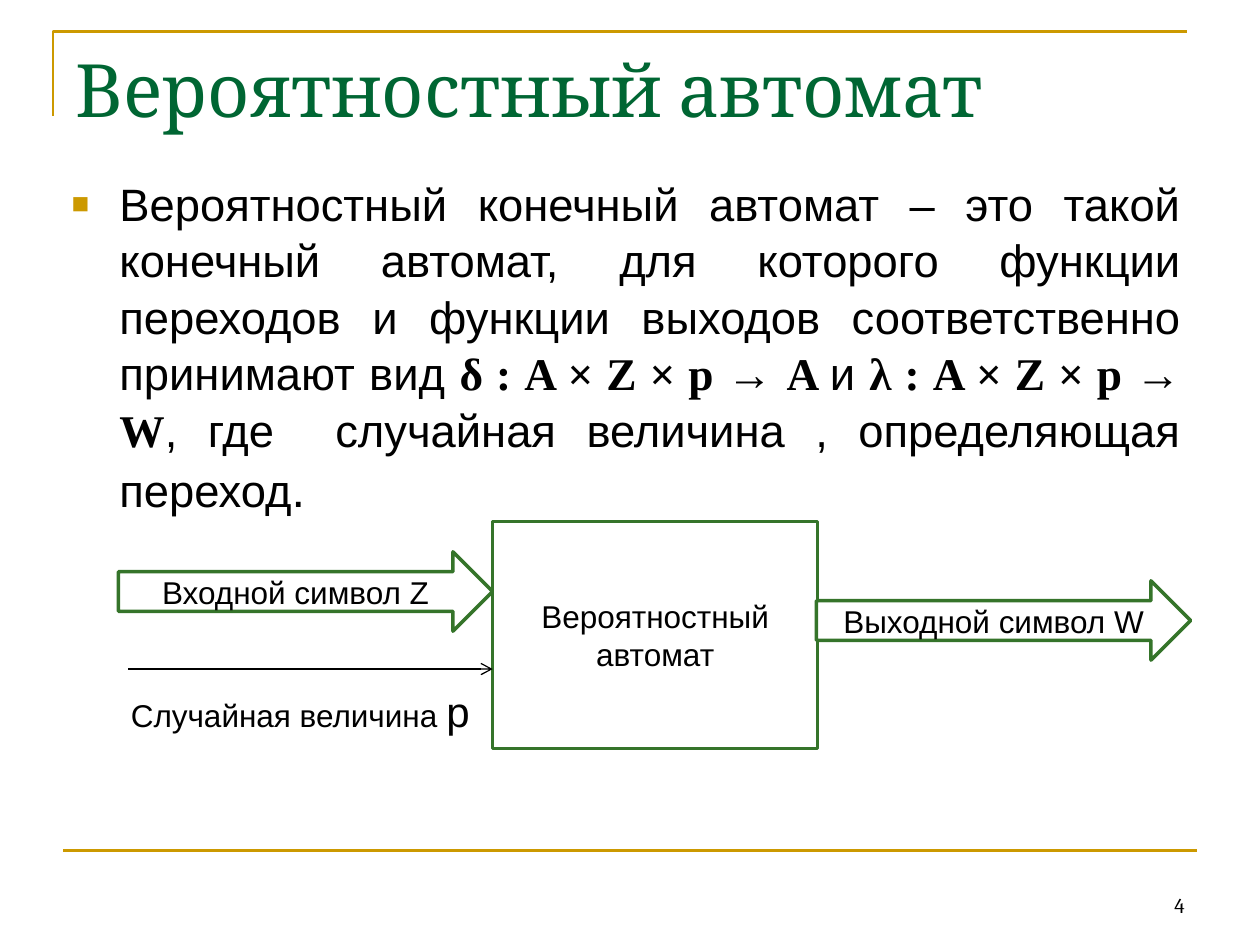
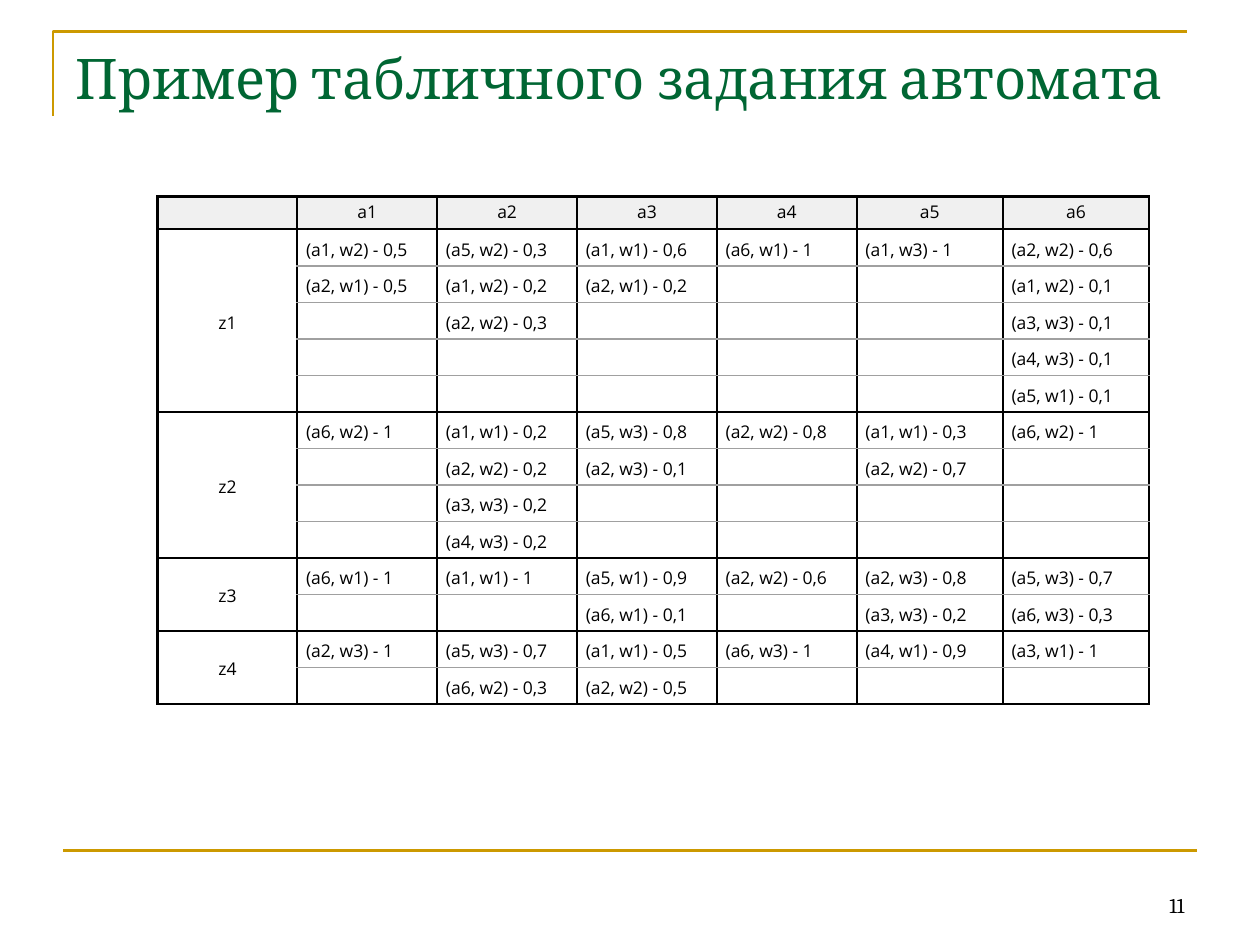
import itertools

import lxml.etree
import pptx
import pptx.dml.color
import pptx.enum.shapes
import pptx.enum.text
import pptx.oxml.ns
import pptx.util

Inches, Pt = pptx.util.Inches, pptx.util.Pt
ALIGN = pptx.enum.text.PP_ALIGN
ANCHOR = pptx.enum.text.MSO_ANCHOR
SHAPE = pptx.enum.shapes.MSO_SHAPE

COLORS = {
    "gold": "CC9900",
    "title": "006633",
    "text": "000000",
    "white": "FFFFFF",
    "box": "35742A",
    "header": "F0F0F0",
    "grid": "A0A0A0",
}
HEAD_FONT, BODY_FONT, MATH_FONT, TABLE_FONT = (
    "Cambria", "Arial", "Times New Roman", "Open Sans")


def rgb(name):
    return pptx.dml.color.RGBColor.from_string(COLORS[name])


def sub(parent, tag, **attrs):
    return lxml.etree.SubElement(parent, pptx.oxml.ns.qn(tag), attrs)


class Deck:
    """Style of the presentation and the slide being filled."""

    def __init__(self):
        self.prs = pptx.Presentation()
        self.prs.slide_width, self.prs.slide_height = Inches(10), Inches(7.5)
        self.s = None

    def new_slide(self, title, size, number):
        self.s = self.prs.slides.add_slide(self.prs.slide_layouts[6])
        # Frame: corner at the top left, rule at the bottom
        fb = self.s.shapes.build_freeform(Inches(0.42), Inches(0.92))
        fb.add_line_segments([(Inches(0.42), Inches(0.25)),
                              (Inches(9.42), Inches(0.25))], close=False)
        sp = fb.convert_to_shape()
        sp.shadow.inherit = False
        sp.fill.background()
        self.outline(sp, "gold", 1.5)
        self.line(0.5, 6.75, 9.5, 6.75, "gold", 1.5)
        # Title and slide number
        self.text(0.5, 0.3, 9, 0.87, [(title, HEAD_FONT, size, False)],
                  color="title")
        self.text(7.17, 6.83, 2.33, 0.5, [(number, HEAD_FONT, 12, False)],
                  align=ALIGN.RIGHT, anchor=ANCHOR.BOTTOM)

    def outline(self, sp, color, width):
        sp.line.color.rgb = rgb(color)
        sp.line.width = Pt(width)

    def style(self, r, font, size, bold=False, color="text"):
        r.font.name, r.font.size, r.font.bold = font, Pt(size), bold
        r.font.color.rgb = rgb(color)

    def line(self, x1, y1, x2, y2, color, width, arrow=False):
        sp = self.s.shapes.add_connector(
            pptx.enum.shapes.MSO_CONNECTOR.STRAIGHT,
            Inches(x1), Inches(y1), Inches(x2), Inches(y2))
        self.outline(sp, color, width)
        spPr = sp._element.spPr
        if arrow:
            sub(spPr.find(pptx.oxml.ns.qn("a:ln")), "a:tailEnd", type="arrow")
        sub(spPr, "a:effectLst")

    def text(self, x, y, w, h, runs, align=ALIGN.LEFT, anchor=ANCHOR.TOP,
             color="text"):
        """One paragraph made of (text, font, size, bold) runs."""
        sp = self.s.shapes.add_textbox(Inches(x), Inches(y),
                                       Inches(w), Inches(h))
        tf = sp.text_frame
        tf.word_wrap, tf.vertical_anchor = True, anchor
        p = tf.paragraphs[0]
        p.alignment = align
        for text, font, size, bold in runs:
            r = p.add_run()
            r.text = text
            self.style(r, font, size, bold, color)
        return p

    def bullet(self, x, y, w, h, runs):
        p = self.text(x, y, w, h, runs, align=ALIGN.JUSTIFY)
        p.line_spacing = 1.04
        pPr = p._p.get_or_add_pPr()
        pPr.set("marL", str(Inches(0.38)))
        pPr.set("indent", str(-Inches(0.38)))
        sub(sub(pPr, "a:buClr"), "a:srgbClr", val=COLORS["gold"])
        sub(pPr, "a:buSzPct", val="65000")
        sub(pPr, "a:buFont", typeface=BODY_FONT)
        sub(pPr, "a:buChar", char="■")

    def block(self, kind, x, y, w, h, text):
        sp = self.s.shapes.add_shape(kind, Inches(x), Inches(y),
                                     Inches(w), Inches(h))
        sp.shadow.inherit = False
        sp.fill.solid()
        sp.fill.fore_color.rgb = rgb("white")
        self.outline(sp, "box", 2)
        tf = sp.text_frame
        tf.word_wrap, tf.vertical_anchor = True, ANCHOR.MIDDLE
        tf.text = text
        for p in tf.paragraphs:
            p.alignment = ALIGN.CENTER
            self.style(p.runs[0], BODY_FONT, 18)

    def cell(self, cell, text="", align=ALIGN.LEFT, anchor=ANCHOR.MIDDLE,
             fill=None, top="text", bottom="text"):
        cell.margin_left = cell.margin_right = Inches(0.07)
        cell.margin_top = cell.margin_bottom = 0
        cell.vertical_anchor = anchor
        p = cell.text_frame.paragraphs[0]
        p.alignment, p.line_spacing = align, 1.15
        if text:
            p.text = text
            self.style(p.runs[0], TABLE_FONT, 10)
        else:
            sub(p._p, "a:endParaRPr", sz="1000")
        # Borders come before the fill
        tcPr = cell._tc.get_or_add_tcPr()
        for side, color in zip("LRTB", ("text", "text", top, bottom)):
            width = 1 if color == "grid" else 1.5
            ln = sub(tcPr, "a:ln" + side, w=str(Pt(width)))
            sub(sub(ln, "a:solidFill"), "a:srgbClr", val=COLORS[color])
        if fill:
            cell.fill.solid()
            cell.fill.fore_color.rgb = rgb(fill)
        else:
            cell.fill.background()

    def transition_table(self, x, y, widths, header, groups):
        """Groups map an input symbol to one list of entries per state."""
        heights = [max(map(len, cols)) for cols in groups.values()]
        rows = 1 + sum(heights)
        tbl = self.s.shapes.add_table(
            rows, len(widths), Inches(x), Inches(y),
            Inches(sum(widths)), Inches(0.26 + 0.29 * (rows - 1))).table
        for col, width in zip(tbl.columns, widths):
            col.width = Inches(width)
        for i, row in enumerate(tbl.rows):
            row.height = Inches(0.29 if i else 0.26)
        for j, name in enumerate(header):
            self.cell(tbl.cell(0, j), name, ALIGN.CENTER, ANCHOR.TOP, "header")
        first = 1
        for (symbol, cols), height in zip(groups.items(), heights):
            last = first + height - 1
            tbl.cell(first, 0).merge(tbl.cell(last, 0))
            for i in range(first, last + 1):
                self.cell(tbl.cell(i, 0), symbol if i == first else "",
                          ALIGN.CENTER)
            for j, entries in enumerate(cols, 1):
                padded = itertools.chain(entries, itertools.repeat(""))
                for i, entry in zip(range(first, last + 1), padded):
                    self.cell(tbl.cell(i, j), entry,
                              top="text" if i == first else "grid",
                              bottom="text" if i == last else "grid")
            first = last + 1


def entries(line):
    """'1 2 0,5; ...' (state, output, probability) to '(a1, w2) - 0,5'."""
    return ["(a{}, w{}) - {}".format(*item.split())
            for item in line.split(";")]


deck = Deck()

# Slide: definition and block diagram
deck.new_slide("Вероятностный автомат", 42, "4")
SIZE = 25.9
deck.bullet(0.47, 1.33, 9, 2.27, [
    ("Вероятностный конечный автомат – это такой конечный автомат, "
     "для которого функции переходов и функции выходов соответственно "
     "принимают вид ", BODY_FONT, SIZE, False),
    ("δ : A × Z × p ", MATH_FONT, SIZE, True),
    ("→ ", BODY_FONT, SIZE, True),
    ("A ", MATH_FONT, SIZE, True),
    ("и ", BODY_FONT, SIZE, False),
    ("λ : A × Z × p ", MATH_FONT, SIZE, True),
    ("→", BODY_FONT, SIZE, True),
    (" W", MATH_FONT, SIZE, True),
    (", где  случайная величина , определяющая переход",
     BODY_FONT, SIZE, False),
    (".", BODY_FONT, 27.8, False),
])
deck.block(SHAPE.RECTANGLE, 3.91, 4.14, 2.58, 1.8, "Вероятностный\nавтомат")
deck.block(SHAPE.RIGHT_ARROW, 0.94, 4.38, 2.97, 0.63, "Входной символ Z")
deck.block(SHAPE.RIGHT_ARROW, 6.48, 4.61, 2.97, 0.63, "Выходной символ W")
deck.line(1.02, 5.31, 3.91, 5.31, "text", 0.75, arrow=True)
deck.text(0.94, 5.39, 2.94, 0.5, [
    ("Случайная величина ", BODY_FONT, 18, False),
    ("p", BODY_FONT, 24, False)])

# Slide: transition table
deck.new_slide("Пример табличного задания автомата", 32, "11")
transitions = {
    "z1": ["1 2 0,5; 2 1 0,5", "5 2 0,3; 1 2 0,2; 2 2 0,3",
           "1 1 0,6; 2 1 0,2", "6 1 1", "1 3 1",
           "2 2 0,6; 1 2 0,1; 3 3 0,1; 4 3 0,1; 5 1 0,1"],
    "z2": ["6 2 1", "1 1 0,2; 2 2 0,2; 3 3 0,2; 4 3 0,2",
           "5 3 0,8; 2 3 0,1", "2 2 0,8", "1 1 0,3; 2 2 0,7", "6 2 1"],
    "z3": ["6 1 1", "1 1 1", "5 1 0,9; 6 1 0,1", "2 2 0,6",
           "2 3 0,8; 3 3 0,2", "5 3 0,7; 6 3 0,3"],
    "z4": ["2 3 1", "5 3 0,7; 6 2 0,3", "1 1 0,5; 2 2 0,5", "6 3 1",
           "4 1 0,9", "3 1 1"],
}
deck.transition_table(
    1.25, 1.56, [1.11] * 5 + [1.16] * 2,
    [""] + [f"a{n}" for n in range(1, 7)],
    {z: [entries(line) for line in cols] for z, cols in transitions.items()})

deck.prs.save("out.pptx")
